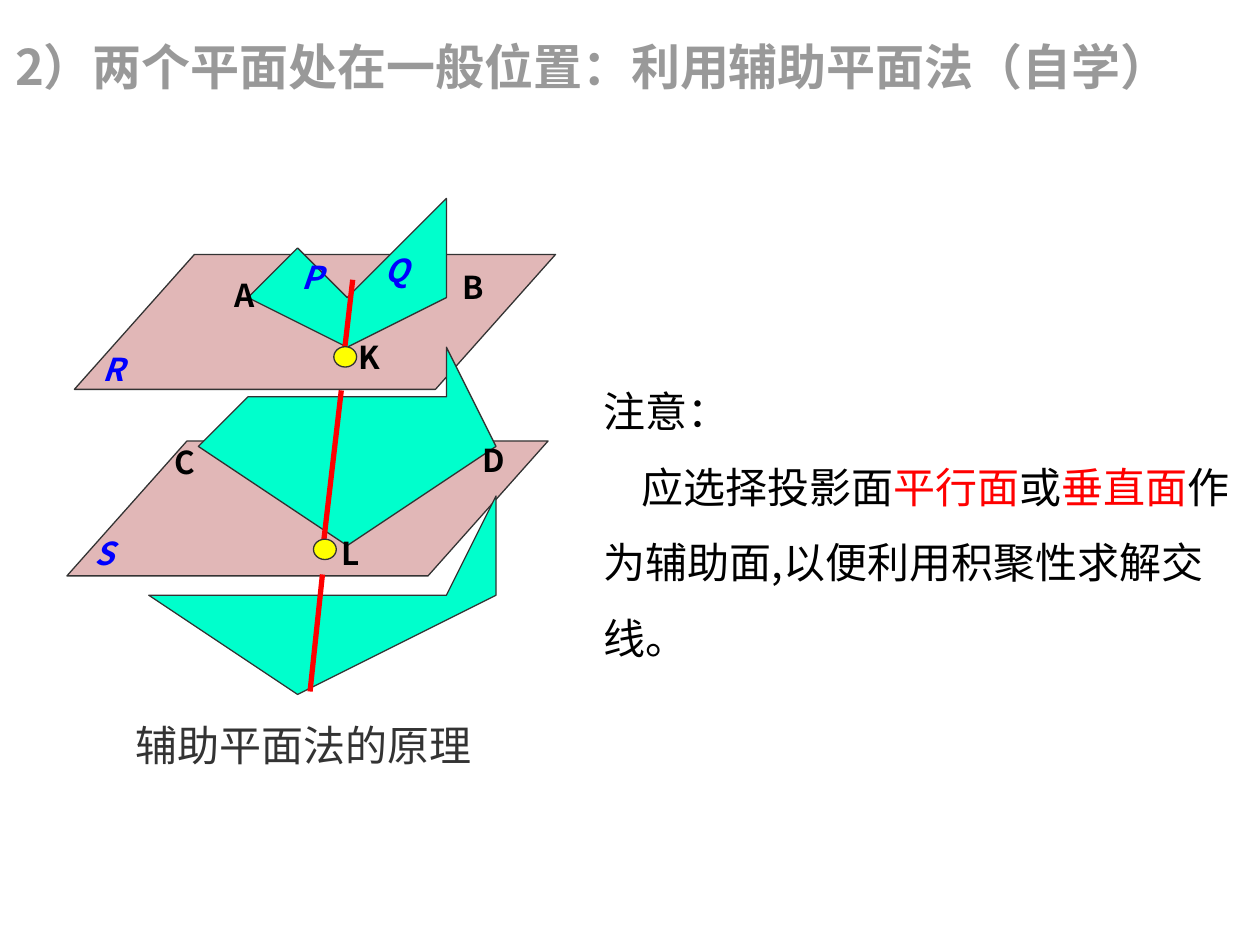
from lxml import etree
from pptx import Presentation
from pptx.dml.color import RGBColor
from pptx.enum.shapes import MSO_CONNECTOR, MSO_SHAPE
from pptx.enum.text import MSO_ANCHOR, MSO_AUTO_SIZE, PP_ALIGN
from pptx.oxml.ns import qn
from pptx.util import Cm, Pt

STRAIGHT = MSO_CONNECTOR.STRAIGHT
PARALLELOGRAM = MSO_SHAPE.PARALLELOGRAM
DOT = MSO_SHAPE.FLOWCHART_CONNECTOR
TOP, MIDDLE = MSO_ANCHOR.TOP, MSO_ANCHOR.MIDDLE
LEFT, CENTER = PP_ALIGN.LEFT, PP_ALIGN.CENTER
NO_AUTOFIT = MSO_AUTO_SIZE.NONE

FONT = "Noto Sans CJK SC"
BLACK = RGBColor(0x00, 0x00, 0x00)
GRAY = RGBColor(0x99, 0x99, 0x99)
DARK = RGBColor(0x33, 0x33, 0x33)
RED = RGBColor(0xFF, 0x00, 0x00)
BLUE = RGBColor(0x00, 0x00, 0xFF)
PINK = RGBColor(0xE1, 0xB7, 0xB7)
TEAL = RGBColor(0x00, 0xFF, 0xCC)
YELLOW = RGBColor(0xFF, 0xFF, 0x00)


class SlideBuilder:
    """Holds the drawing style and the current slide; lengths are in cm."""

    def __init__(self, slide):
        self.slide = slide
        self.shapes = slide.shapes

    def format_run(self, run, size, color, bold=False, italic=False):
        font = run.font
        font.name, font.size = FONT, Pt(size)
        font.bold, font.italic = bold, italic
        font.color.rgb = color
        etree.SubElement(run._r.get_or_add_rPr(), qn("a:ea"), typeface=FONT)

    def place(self, shape, left, top, width, height, anchor=MIDDLE):
        shape.left, shape.top = Cm(left), Cm(top)
        shape.width, shape.height = Cm(width), Cm(height)
        frame = shape.text_frame
        frame.word_wrap = True
        frame.auto_size = NO_AUTOFIT
        frame.vertical_anchor = anchor
        return frame

    def title(self, text, *box):
        frame = self.place(self.shapes.title, *box)
        frame.text = text
        paragraph = frame.paragraphs[0]
        paragraph.alignment = LEFT
        self.format_run(paragraph.runs[0], 28, GRAY, bold=True)

    def note(self, paragraphs, *box):
        """Each paragraph is (first-line indent, [(text, color), ...])."""
        frame = self.place(self.slide.placeholders[1], *box)
        for index, (indent, pieces) in enumerate(paragraphs):
            paragraph = frame.add_paragraph() if index else frame.paragraphs[0]
            paragraph.line_spacing = 1.5
            paragraph.space_before = Pt(0)
            properties = paragraph._p.get_or_add_pPr()
            properties.set("marL", "0")
            properties.set("indent", str(Cm(indent)))
            etree.SubElement(properties, qn("a:buNone"))
            for text, color in pieces:
                run = paragraph.add_run()
                run.text = text
                self.format_run(run, 24, color)

    def text(self, text, box, size, color, anchor=TOP, **style):
        shape = self.shapes.add_textbox(0, 0, 0, 0)
        frame = self.place(shape, *box, anchor)
        frame.text = text
        paragraph = frame.paragraphs[0]
        paragraph.alignment = CENTER
        self.format_run(paragraph.runs[0], size, color, **style)

    def label(self, text, center, top, color=BLACK, italic=False):
        box = (center - 0.76, top, 1.52, 1.02)
        self.text(text, box, 18, color, bold=True, italic=italic)

    def paint(self, shape, fill):
        shape.shadow.inherit = False
        shape.fill.solid()
        shape.fill.fore_color.rgb = fill
        shape.line.color.rgb = DARK
        shape.line.width = Pt(0.75)

    def preset(self, kind, left, top, width, height, fill):
        shape = self.shapes.add_shape(
            kind, Cm(left), Cm(top), Cm(width), Cm(height))
        self.paint(shape, fill)
        return shape

    def polygon(self, points, fill):
        builder = self.shapes.build_freeform(*points[0], scale=Cm(1))
        builder.add_line_segments(points[1:], close=True)
        self.paint(builder.convert_to_shape(), fill)

    def line(self, start, end):
        connector = self.shapes.add_connector(
            STRAIGHT, *(Cm(value) for value in start + end))
        connector.line.color.rgb = RED
        connector.line.width = Pt(3)
        etree.SubElement(connector._element.spPr, qn("a:effectLst"))


def main():
    presentation = Presentation()
    presentation.slide_width, presentation.slide_height = Cm(25.4), Cm(19.05)
    slide = presentation.slides.add_slide(presentation.slide_layouts[1])
    builder = SlideBuilder(slide)

    # Title and caption
    builder.title("2）两个平面处在一般位置：利用辅助平面法（自学）",
                  0.05, 0.61, 24.89, 1.45)
    builder.text("辅助平面法的原理", (1.73, 14.38, 8.79, 1.27), 24, DARK, MIDDLE)

    # Auxiliary planes R and S
    for left, top in ((1.5, 5.13), (1.35, 8.89)):
        plane = builder.preset(PARALLELOGRAM, left, top, 9.7, 2.72, PINK)
        plane.adjustments[0] = 0.89

    # Visible parts of planes P and Q, from top to bottom
    visible_parts = (
        [(5.72, 4.7), (7.11, 5.64), (9.17, 4.5),
         (9.27, 5.89), (6.91, 7.21), (5.23, 6.07)],
        [(4.55, 7.87), (8.81, 7.87), (9.42, 7.11),
         (9.68, 9.37), (6.53, 11.15), (4.04, 9.45)],
        [(3.25, 11.58), (8.66, 11.58), (9.75, 10.34),
         (9.88, 11.94), (6.22, 14), (3.12, 11.94)],
    )
    for points in visible_parts:
        builder.polygon(points, TEAL)

    # Intersection line of P and Q, with points K and L on it
    builder.line((6.88, 7.87), (6.5, 11.13))
    builder.line((6.25, 13.94), (6.5, 11.58))
    builder.line((6.93, 7.19), (7.11, 5.64))
    for left, top in ((6.73, 6.99), (6.32, 10.87)):
        builder.preset(DOT, left, top, 0.46, 0.41, YELLOW)

    # Names of planes and points
    for name, center, top in (("R", 2.29, 6.93), ("S", 2.11, 10.64),
                              ("Q", 8, 4.93), ("P", 6.3, 5.08)):
        builder.label(name, center, top, BLUE, italic=True)
    for name, center, top in (("A", 4.93, 5.44), ("B", 9.55, 5.28),
                              ("C", 3.73, 8.81), ("D", 9.96, 8.76),
                              ("K", 7.44, 6.68), ("L", 7.06, 10.64)):
        builder.label(name, center, top)

    # Note on choosing the auxiliary plane
    builder.note([
        (0, [("注意：", BLACK)]),
        (0.77, [("应选择投影面", BLACK), ("平行面", RED), ("或", BLACK),
                ("垂直面", RED), ("作为辅助面,以便利用积聚性求解交线。", BLACK)]),
    ], 11.91, 7.11, 13.21, 6.4)

    presentation.save("out.pptx")


if __name__ == "__main__":
    main()
